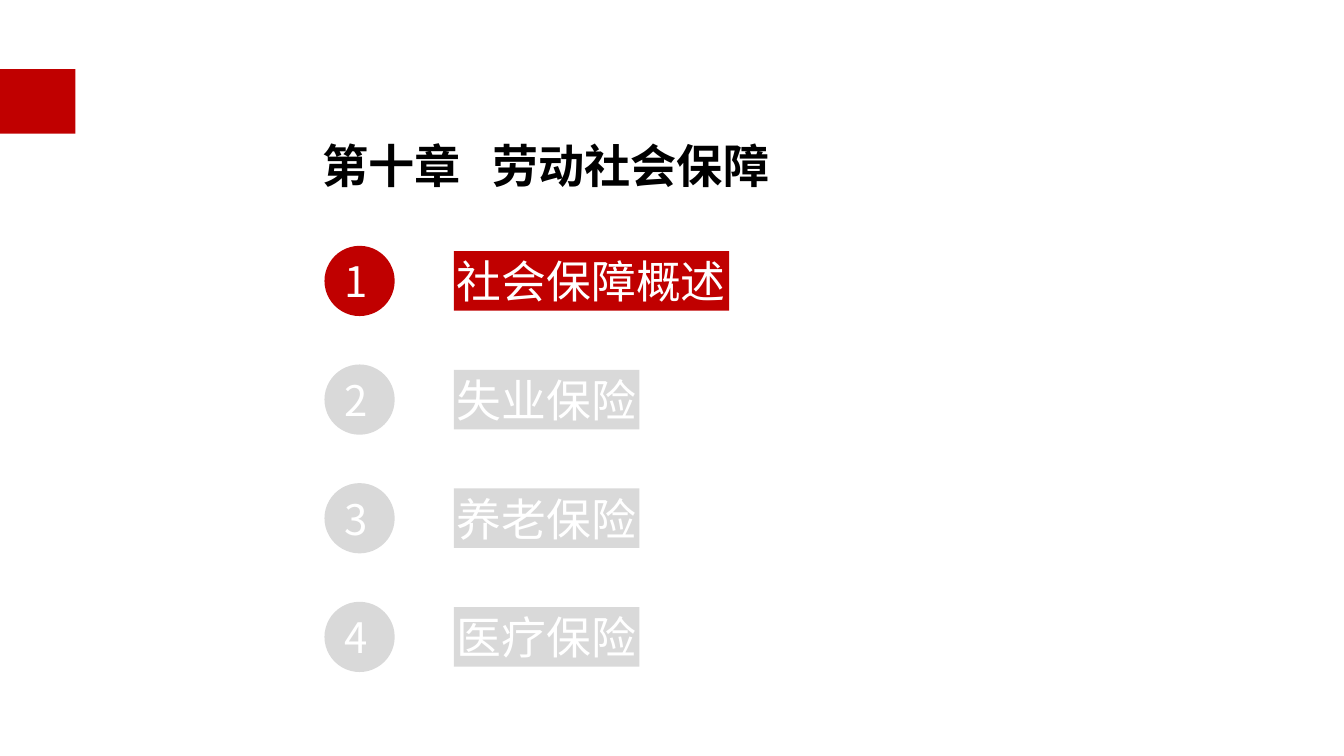
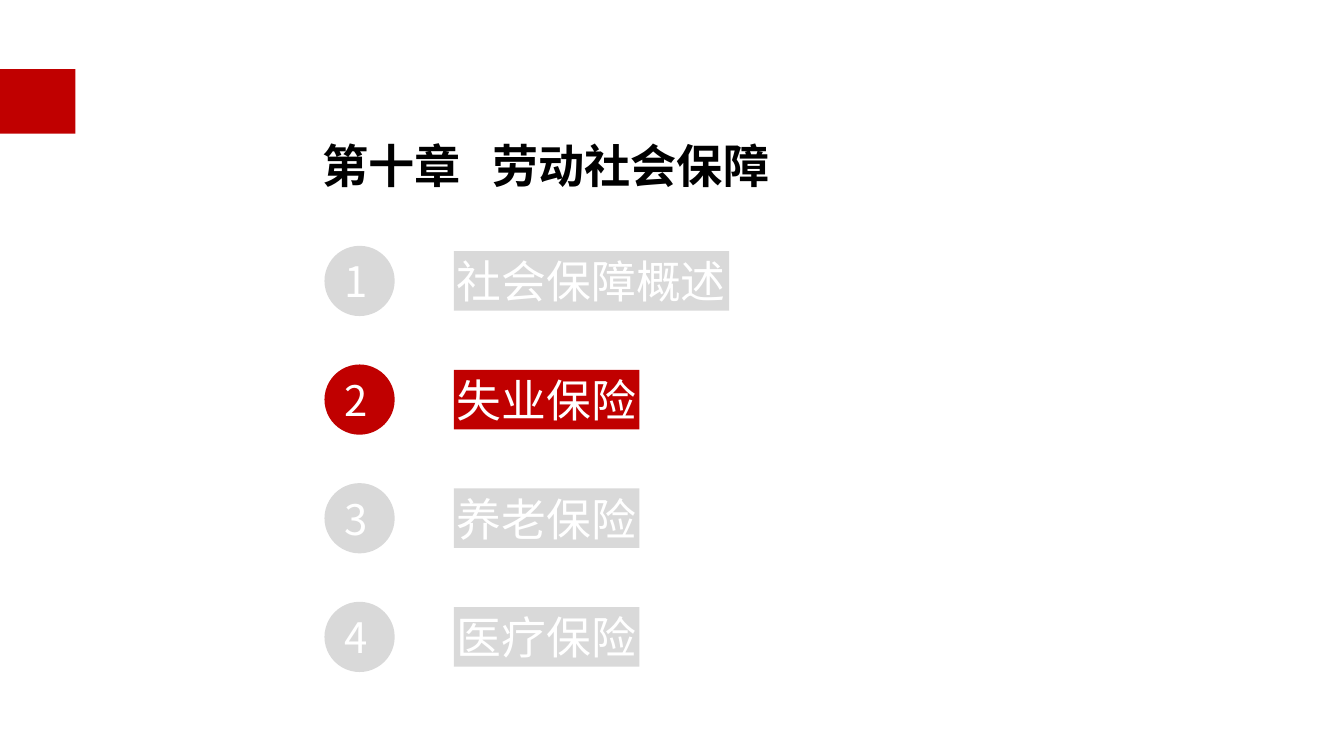
from dataclasses import dataclass

from lxml.etree import SubElement
from pptx import Presentation
from pptx.dml.color import RGBColor
from pptx.enum.shapes import MSO_SHAPE
from pptx.enum.text import MSO_ANCHOR, MSO_AUTO_SIZE, PP_ALIGN
from pptx.oxml.ns import qn
from pptx.util import Cm, Pt

# Content
CHAPTER = ("第十章", "劳动社会保障")
SECTIONS = ["社会保障概述", "失业保险", "养老保险", "医疗保险"]
ACTIVE_SECTIONS = [0, 1]  # one slide for each


@dataclass(frozen=True)
class Theme:
    accent: RGBColor = RGBColor(0xC0, 0x00, 0x00)
    muted: RGBColor = RGBColor(0xD9, 0xD9, 0xD9)
    title_color: RGBColor = RGBColor(0x00, 0x00, 0x00)
    on_fill: RGBColor = RGBColor(0xFF, 0xFF, 0xFF)
    chinese_font: str = "Noto Sans CJK SC"
    label_font: str = "Calibri"
    title_size: Pt = Pt(33)
    label_size: Pt = Pt(32)
    number_size: Pt = Pt(30)


THEME = Theme()

# Geometry in centimetres
FIRST_CENTER, ROW_PITCH = 7.08, 2.99
CIRCLE_LEFT, CIRCLE_SIZE, NUMBER_INDENT = 8.18, 1.77, 0.24
LABEL_LEFT, LABEL_HEIGHT, LABEL_MARGIN, CHARACTER_WIDTH = 11.44, 1.5, 0.08, 1.13
TITLE_BOX = (7.8, 2.69, 11.68, 2.24)
TITLE_INDENT, TITLE_TAB = 0.33, 4.28
BAND_BOX = (0, 1.74, 1.9, 1.63)


def write_text(shape, text, font_name, size, color, left_margin, bold=False, wrap=False):
    frame = shape.text_frame
    frame.auto_size = MSO_AUTO_SIZE.NONE
    frame.word_wrap = wrap
    frame.vertical_anchor = MSO_ANCHOR.MIDDLE
    frame.margin_left = Cm(left_margin)
    frame.margin_right = frame.margin_top = frame.margin_bottom = 0
    frame.text = text
    paragraph = frame.paragraphs[0]
    paragraph.alignment = PP_ALIGN.LEFT
    run = paragraph.runs[0]
    run.font.name, run.font.size, run.font.bold = font_name, size, bold
    run.font.color.rgb = color
    SubElement(run.font._element, qn("a:ea"), typeface=THEME.chinese_font)
    return paragraph


def add_filled(slide, kind, box, color):
    shape = slide.shapes.add_shape(kind, *map(Cm, box))
    shape.shadow.inherit = False
    shape.fill.solid()
    shape.fill.fore_color.rgb = color
    shape.line.fill.background()
    return shape


def add_title(slide):
    title = slide.shapes.title
    title.left, title.top, title.width, title.height = map(Cm, TITLE_BOX)
    paragraph = write_text(title, "\t".join(CHAPTER), THEME.chinese_font, THEME.title_size,
                           THEME.title_color, TITLE_INDENT, bold=True, wrap=True)
    # The tab stop sets the gap after the chapter number
    tabs = SubElement(paragraph._p.get_or_add_pPr(), qn("a:tabLst"))
    SubElement(tabs, qn("a:tab"), pos=str(Cm(TITLE_TAB)), algn="l")
    paragraph.line_spacing = 1.5


def add_section(slide, index, name, color):
    center = FIRST_CENTER + index * ROW_PITCH
    circle = add_filled(slide, MSO_SHAPE.OVAL,
                        (CIRCLE_LEFT, center - CIRCLE_SIZE / 2, CIRCLE_SIZE, CIRCLE_SIZE), color)
    write_text(circle, str(index + 1), THEME.chinese_font, THEME.number_size,
               THEME.on_fill, NUMBER_INDENT, wrap=True)
    label_width = len(name) * CHARACTER_WIDTH + 2 * LABEL_MARGIN
    label = add_filled(slide, MSO_SHAPE.RECTANGLE,
                       (LABEL_LEFT, center - LABEL_HEIGHT / 2, label_width, LABEL_HEIGHT), color)
    write_text(label, name, THEME.label_font, THEME.label_size, THEME.on_fill, LABEL_MARGIN)


def main():
    presentation = Presentation()
    presentation.slide_width, presentation.slide_height = Cm(33.88), Cm(19.05)
    layout = presentation.slide_layouts.get_by_name("Title Only")
    slides = [presentation.slides.add_slide(layout) for _ in ACTIVE_SECTIONS]

    # The red band belongs to the layout, so every slide shows it
    band = add_filled(slides[0], MSO_SHAPE.RECTANGLE, BAND_BOX, THEME.accent)
    layout.shapes.element.append(band.element)

    for slide, active in zip(slides, ACTIVE_SECTIONS):
        add_title(slide)
        for index, name in enumerate(SECTIONS):
            add_section(slide, index, name, THEME.accent if index == active else THEME.muted)

    presentation.save("out.pptx")


if __name__ == "__main__":
    main()
